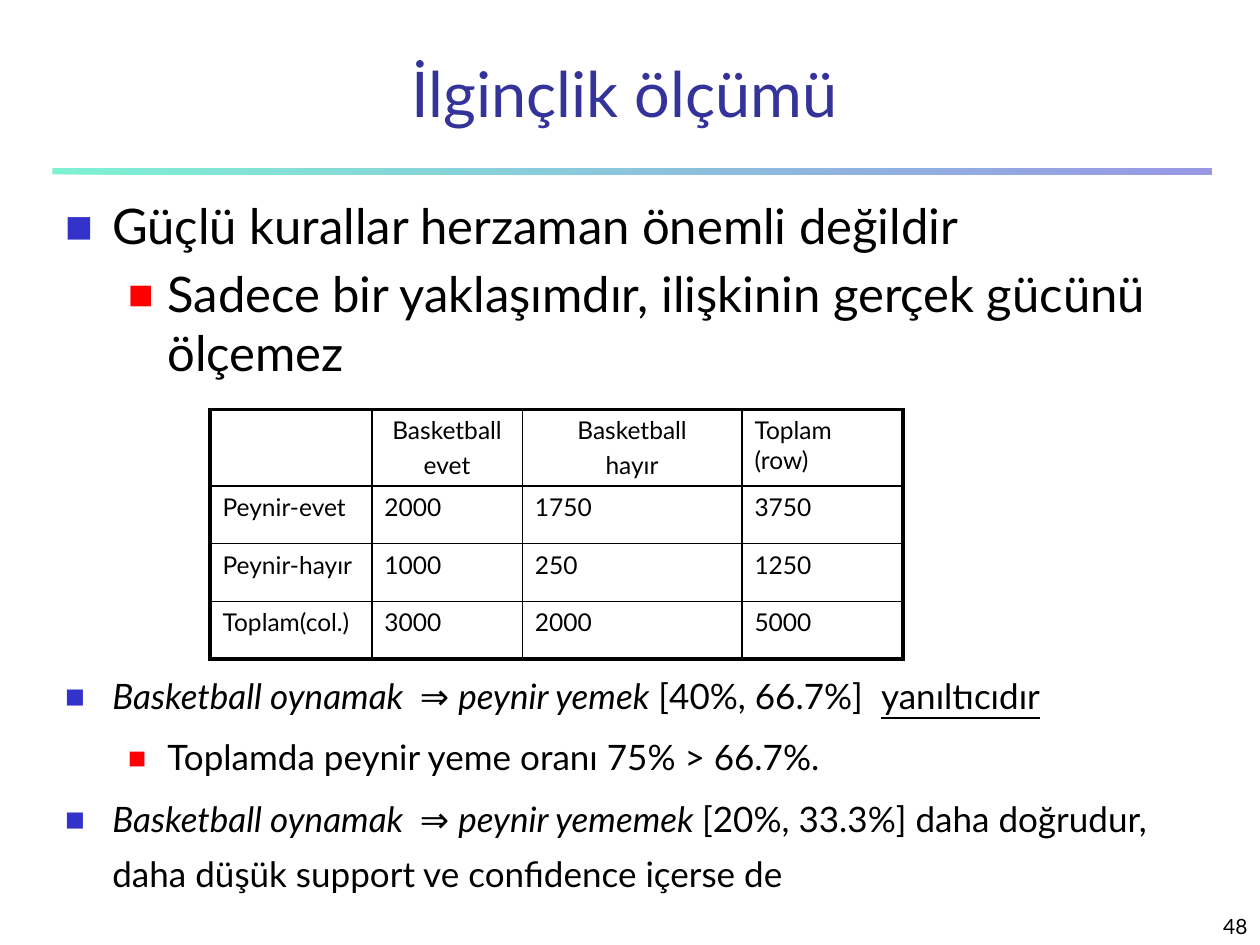
from lxml.etree import SubElement
from pptx import Presentation
from pptx.dml.color import RGBColor
from pptx.enum.shapes import MSO_SHAPE
from pptx.enum.text import MSO_ANCHOR, MSO_AUTO_SIZE, PP_ALIGN
from pptx.oxml.ns import qn
from pptx.util import Pt

BLACK = RGBColor(0x00, 0x00, 0x00)
NAVY = RGBColor(0x33, 0x33, 0x99)
BLUE = RGBColor(0x33, 0x33, 0xCC)
RED = RGBColor(0xFF, 0x00, 0x00)
MINT = RGBColor(0x00, 0xE4, 0xA8)
FACE = "Lato"


def style(para, size, color=BLACK):
    para.font.name = FACE
    para.font.size = Pt(size)
    para.font.color.rgb = color


def border(cell, side, width):
    line = SubElement(cell._tc.get_or_add_tcPr(), qn(f"a:ln{side}"), w=str(Pt(width)))
    fill = SubElement(line, qn("a:solidFill"))
    SubElement(fill, qn("a:srgbClr"), val=str(BLACK))


prs = Presentation()
prs.slide_width, prs.slide_height = Pt(720), Pt(540)
slide = prs.slides.add_slide(prs.slide_layouts[1])
shapes = slide.shapes

rule = shapes.add_shape(MSO_SHAPE.RECTANGLE, Pt(30), Pt(96), Pt(662.4), Pt(3.6))
rule.shadow.inherit = False
rule.line.fill.background()
rule.fill.gradient()
rule.fill.gradient_angle = 0
for stop, color in zip(rule.fill.gradient_stops, (MINT, BLUE)):
    stop.color.rgb = color
    tone = stop.color._xFill.find(qn("a:srgbClr")) if hasattr(stop.color, "_xFill") else None
for tone in rule._element.spPr.iter(qn("a:srgbClr")):
    SubElement(tone, qn("a:alpha"), val="50000")

title = shapes.title
title.left, title.top, title.width, title.height = Pt(30), Pt(30), Pt(654), Pt(48)
frame = title.text_frame
frame.auto_size = MSO_AUTO_SIZE.NONE
frame.vertical_anchor = MSO_ANCHOR.BOTTOM
para = frame.paragraphs[0]
para.text = "İlginçlik ölçümü"
para.alignment = PP_ALIGN.CENTER
style(para, 36, NAVY)

body = slide.placeholders[1]
body.left, body.top, body.width, body.height = Pt(30), Pt(108), Pt(660), Pt(402)
frame = body.text_frame
frame.auto_size = MSO_AUTO_SIZE.NONE
items = [
    (0, 28, 5.6, 1, [("Güçlü kurallar herzaman önemli değildir", "")]),
    (1, 28, 5.6, 1, [("Sadece bir yaklaşımdır, ilişkinin gerçek gücünü ölçemez", "")]),
    (0, 20, 160, 1.3, [("Basketball oynamak  ", "i"), ("⇒ ", ""), ("peynir yemek", "i"),
                       (" [40%, 66.7%]  ", ""), ("yanıltıcıdır", "u")]),
    (1, 20, 4, 1.3, [("Toplamda peynir yeme oranı 75% > 66.7%.", "")]),
    (0, 20, 4, 1.3, [("Basketball oynamak  ", "i"), ("⇒ ", ""), ("peynir yememek ", "i"),
                     ("[20%, 33.3%] daha doğrudur, daha düşük support ve confidence içerse de", "")]),
]
looks = [(27, -27, BLUE, 60), (58.5, -22.5, RED, 55)]
for row, (level, size, gap, lead, runs) in enumerate(items):
    para = frame.paragraphs[0] if row == 0 else frame.add_paragraph()
    para.level = level
    left, hang, color, scale = looks[level]
    props = para._p.get_or_add_pPr()
    props.set("marL", str(Pt(left)))
    props.set("indent", str(Pt(hang)))
    SubElement(SubElement(props, qn("a:buClr")), qn("a:srgbClr"), val=str(color))
    SubElement(props, qn("a:buSzPct"), val=str(scale * 1000))
    SubElement(props, qn("a:buFont"), typeface=FACE)
    SubElement(props, qn("a:buChar"), char="■")
    para.space_before = Pt(gap)
    para.line_spacing = lead
    style(para, size)
    for text, mark in runs:
        run = para.add_run()
        run.text = text
        if mark == "i":
            run.font.italic = True
        elif mark == "u":
            run.font.underline = True

box = shapes.add_textbox(Pt(570), Pt(510), Pt(150), Pt(30))
frame = box.text_frame
frame.word_wrap = True
frame.vertical_anchor = MSO_ANCHOR.BOTTOM
para = frame.paragraphs[0]
para.text = "48"
para.alignment = PP_ALIGN.RIGHT
style(para, 12)
frame.margin_right = Pt(7.2)

data = [
    ["", "Basketball\nevet", "Basketball\nhayır", "Toplam (row)"],
    ["Peynir-evet", "2000", "1750", "3750"],
    ["Peynir-hayır", "1000", "250", "1250"],
    ["Toplam(col.)", "3000", "2000", "5000"],
]
table = shapes.add_table(4, 4, Pt(120), Pt(234), Pt(396), Pt(142.5)).table
table.first_row = table.horz_banding = False
for col, width in zip(table.columns, (92.5, 86, 125.5, 92)):
    col.width = Pt(width)
for row, height in zip(table.rows, (43.5, 33, 33, 33)):
    row.height = Pt(height)
for r, line in enumerate(data):
    for c, text in enumerate(line):
        cell = table.cell(r, c)
        cell.text = text
        for side, outer in (("L", c == 0), ("R", c == 3), ("T", r == 0), ("B", r == 3)):
            border(cell, side, 2.25 if outer else 1)
        cell.fill.background()
        for para in cell.text_frame.paragraphs:
            para.space_before = Pt(2.8)
            para.alignment = PP_ALIGN.CENTER if "\n" in text else PP_ALIGN.LEFT
            style(para, 14)

prs.save("out.pptx")
